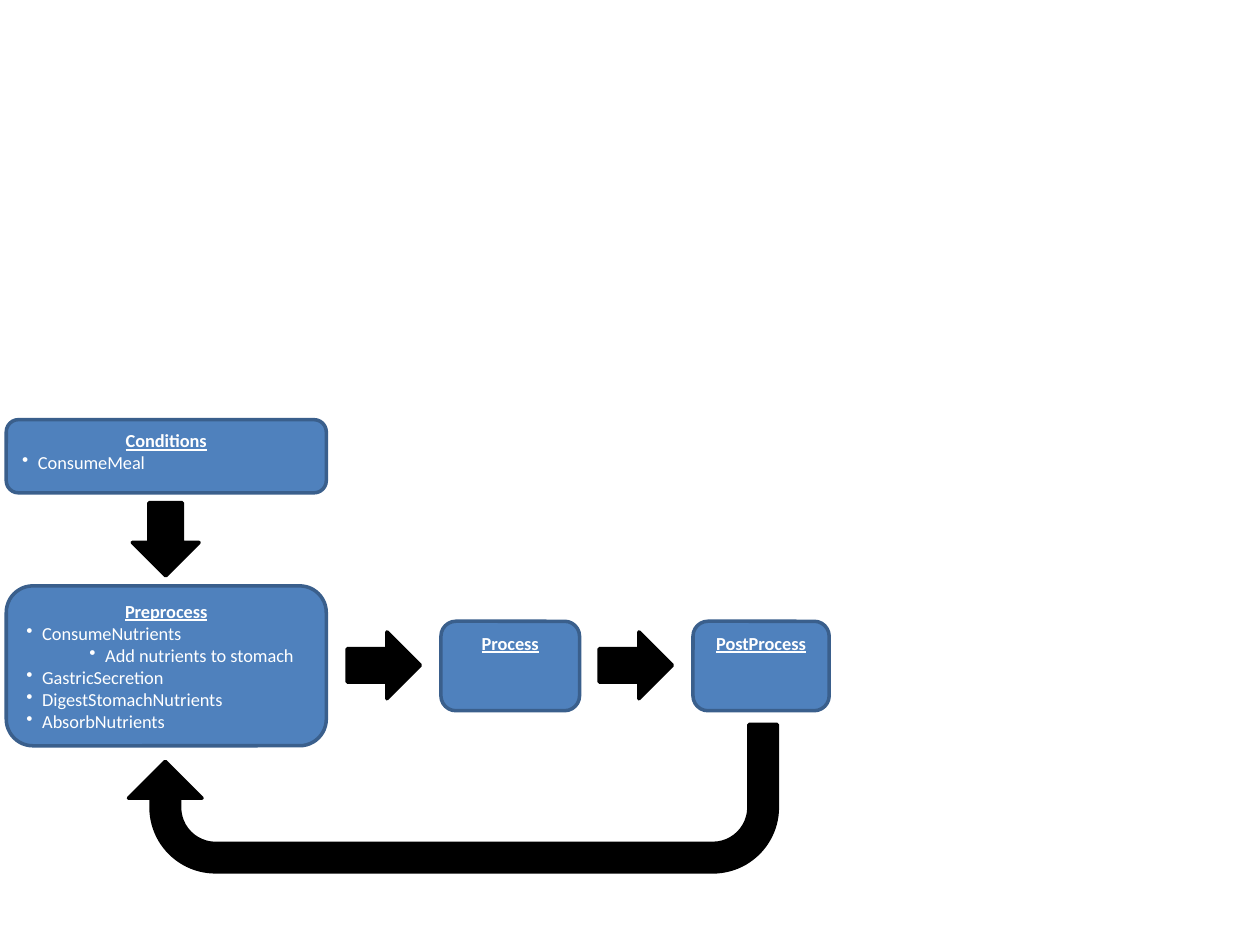
from pptx import Presentation
from pptx.dml.color import RGBColor
from pptx.enum.shapes import MSO_SHAPE
from pptx.enum.text import MSO_ANCHOR, PP_ALIGN
from pptx.oxml.ns import qn
from pptx.util import Pt

ROUNDED = MSO_SHAPE.ROUNDED_RECTANGLE
DOWN_ARROW = MSO_SHAPE.DOWN_ARROW
UTURN_ARROW = MSO_SHAPE.U_TURN_ARROW
TOP = MSO_ANCHOR.TOP
LEFT, CENTER = PP_ALIGN.LEFT, PP_ALIGN.CENTER

BLACK = RGBColor(0x00, 0x00, 0x00)
WHITE = RGBColor(0xFF, 0xFF, 0xFF)
BLUE = RGBColor(0x4F, 0x81, 0xBD)
DARK_BLUE = RGBColor(0x3A, 0x5F, 0x8C)

HEADING = {"bold": True, "underline": True}
ITEM = {"bold": False, "underline": False}


class FlowSlide:
    """Holds the style and the page of a process flow."""

    font = {"name": "Calibri", "size": Pt(10.5)}
    line_width = Pt(2)
    bullet_gap = 9
    level_step = 36

    def __init__(self, page):
        """Keep the page that receives the elements."""
        self.page = page

    def shape(self, kind, bounds, fill, outline):
        """Add a flat preset shape; bounds are left, top, width, height."""
        shape = self.page.shapes.add_shape(kind, *map(Pt, bounds))
        shape.shadow.inherit = False
        shape.fill.solid()
        shape.fill.fore_color.rgb = fill
        shape.line.color.rgb = outline
        shape.line.width = self.line_width
        return shape

    def arrow(self, kind, bounds, rotation=0, adjustments=()):
        """Add a black block arrow."""
        arrow = self.shape(kind, bounds, BLACK, BLACK)
        arrow.rotation = rotation
        for index, value in enumerate(adjustments):
            arrow.adjustments[index] = value

    def add_span(self, para, text, style):
        """Add one styled span to a paragraph."""
        span = para.add_run()
        span.text = text
        for name, value in {**self.font, **style}.items():
            setattr(span.font, name, value)
        span.font.color.rgb = WHITE

    def bullet(self, para, level):
        """Give a paragraph a hanging bullet."""
        para.level = level
        props = para._p.get_or_add_pPr()
        props.set("marL", str(Pt(self.bullet_gap + level * self.level_step)))
        props.set("indent", str(Pt(-self.bullet_gap)))
        mark = props.makeelement(qn("a:buChar"), {"char": "•"})
        props.append(mark)

    def stage(self, bounds, heading, items=()):
        """Add a blue box with a heading and (level, text) items."""
        box = self.shape(ROUNDED, bounds, BLUE, DARK_BLUE)
        frame = box.text_frame
        frame.word_wrap = True
        frame.vertical_anchor = TOP
        frame.paragraphs[0].alignment = CENTER
        self.add_span(frame.paragraphs[0], heading, HEADING)
        for level, text in items:
            para = frame.add_paragraph()
            para.alignment = LEFT
            self.bullet(para, level)
            self.add_span(para, text, ITEM)


def build():
    """Build and save the deck."""
    deck = Presentation()
    deck.slide_width, deck.slide_height = Pt(720), Pt(540)
    flow = FlowSlide(deck.slides.add_slide(deck.slide_layouts[6]))

    flow.arrow(UTURN_ARROW, (73.4, 414, 370.8, 84.2), 180,
               (0.193, 0.25, 0.25, 0.438, 0.75))
    for left, top, rotation in ((75.6, 287.3, 0), (200.2, 359.3, 270),
                                (344.2, 359.3, 270)):
        flow.arrow(DOWN_ARROW, (left, top, 38.2, 41.8), rotation)

    flow.stage((3.6, 239.8, 182.9, 41.8), "Conditions", [(0, "ConsumeMeal")])
    flow.stage((3.6, 334.8, 182.9, 91.4), "Preprocess", [
        (0, "ConsumeNutrients"),
        (1, "Add nutrients to stomach"),
        (0, "GastricSecretion"),
        (0, "DigestStomachNutrients"),
        (0, "AbsorbNutrients"),
    ])
    flow.stage((252, 355, 79.2, 51.1), "Process")
    flow.stage((396, 355, 77.8, 51.1), "PostProcess")
    deck.save("out.pptx")


build()
